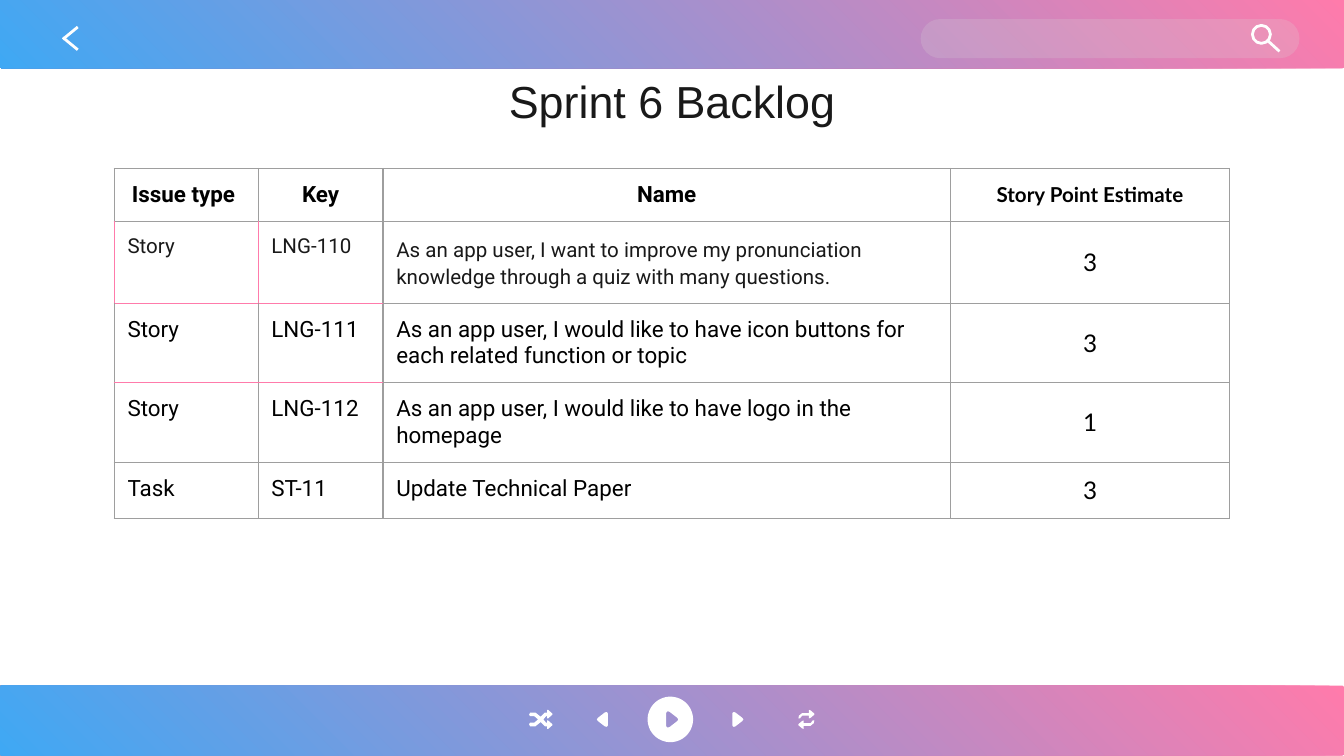
import math
import pptx
import pptx.dml.color
import pptx.enum.shapes
import pptx.enum.text
import pptx.oxml
import pptx.oxml.ns
import pptx.util

Cm = pptx.util.Cm
Pt = pptx.util.Pt
MSO = pptx.enum.shapes.MSO_SHAPE
ALIGN = pptx.enum.text.PP_ALIGN
ANCHOR = pptx.enum.text.MSO_ANCHOR
PINK, BLUE, WHITE, GRAY = "FF7BAB", "3FA8F4", "FFFFFF", "9E9E9E"
NS = pptx.oxml.ns.nsdecls("a")


def rgb(color):
    return pptx.dml.color.RGBColor.from_string(color)


def add_icon(*outlines):
    points = [[(Cm(x), Cm(y)) for x, y in outline] for outline in outlines]
    builder = shapes.build_freeform(*points[0][0])
    builder.add_line_segments(points[0][1:])
    for outline in points[1:]:
        builder.move_to(*outline[0])
        builder.add_line_segments(outline[1:])
    sp = builder.convert_to_shape()
    sp.shadow.inherit = False
    sp.fill.solid()
    sp.fill.fore_color.rgb = rgb(WHITE)
    sp.line.fill.background()


prs = pptx.Presentation()
prs.slide_width, prs.slide_height = Cm(25.4), Cm(14.28)
s = prs.slides.add_slide(prs.slide_layouts[5])
shapes = s.shapes

for top in (-0.03, 12.95):
    sp = shapes.add_shape(MSO.ROUNDED_RECTANGLE, 0, Cm(top), Cm(25.4), Cm(1.32))
    sp.adjustments[0] = 0.03
    sp.shadow.inherit = False
    sp.fill.gradient()
    sp.fill.gradient_angle = 225
    for stop, color in zip(sp.fill.gradient_stops, (PINK, BLUE)):
        stop.color.rgb = rgb(color)
    sp.line.fill.background()

sp = shapes.add_shape(MSO.ROUNDED_RECTANGLE, Cm(17.4), Cm(0.36), Cm(7.16), Cm(0.74))
sp.adjustments[0] = 0.5
sp.shadow.inherit = False
sp.fill.solid()
sp.fill.fore_color.rgb = rgb("D9D9D9")
clr = sp.element.spPr.find(pptx.oxml.ns.qn("a:solidFill"))[0]
clr.append(pptx.oxml.parse_xml(f'<a:alpha {NS} val="21000"/>'))
sp.line.fill.background()

sp = shapes.add_shape(MSO.OVAL, Cm(23.67), Cm(0.48), Cm(0.34), Cm(0.34))
sp.shadow.inherit = False
sp.fill.background()
sp.line.color.rgb = rgb("FEFEFE")
sp.line.width = Pt(1.5)

for x1, y1, x2, y2 in ((23.95, 0.76, 24.18, 0.97),
                       (1.19, 0.74, 1.47, 0.51),
                       (1.19, 0.71, 1.47, 0.94)):
    line = shapes.add_connector(pptx.enum.shapes.MSO_CONNECTOR.STRAIGHT,
                                Cm(x1), Cm(y1), Cm(x2), Cm(y2))
    line.line.color.rgb = rgb("FEFEFE")
    line.line.width = Pt(1.5)
    line.element.spPr.append(pptx.oxml.parse_xml(f"<a:effectLst {NS}/>"))

mid = 13.59
arrow = [(0.05, -0.18), (0.08, -0.17), (0.15, -0.11), (0.15, -0.09), (0.08, -0.03),
         (0.05, -0.02), (0.05, -0.07), (-0.08, -0.07), (-0.12, -0.02),
         (-0.15, -0.02), (-0.14, -0.07), (-0.08, -0.12), (0.05, -0.12)]
for sign in (-1, 1):
    add_icon([(15.24 + sign * x, mid + sign * y) for x, y in arrow + arrow[:1]])

half = [(10.17, 0), (10.1, -0.06), (10.02, -0.06), (10, -0.09), (10.02, -0.13),
        (10.12, -0.13), (10.22, -0.05), (10.3, -0.13), (10.34, -0.13),
        (10.34, -0.18), (10.36, -0.18), (10.44, -0.11), (10.44, -0.09),
        (10.36, -0.02), (10.34, -0.02), (10.34, -0.06), (10.32, -0.06), (10.27, 0)]
shuffle = half + [(x, -y) for x, y in reversed(half[:-1])]
add_icon([(x, mid + y) for x, y in shuffle])

half = [(0, -0.11), (0.01, -0.13), (0.03, -0.14), (0.06, -0.13), (0.19, -0.03), (0.21, 0)]
triangle = half + [(x, -y) for x, y in reversed(half[:-1])] + half[:1]
angles = [math.radians(a) for a in range(0, 361, 6)]
disc = [(12.67 + 0.43 * math.cos(a), mid + 0.43 * math.sin(a)) for a in angles]
add_icon(disc, [(12.59 + 1.1 * x, mid + 1.1 * y) for x, y in triangle])
for base, sign in ((11.49, -1), (13.84, 1)):
    add_icon([(base + sign * x, mid + y) for x, y in triangle])

title = shapes.title
title.element.getparent().append(title.element)
title.left, title.top, title.width, title.height = Cm(2), Cm(1.09), Cm(21.4), Cm(1.6)
tf = title.text_frame
tf.vertical_anchor = ANCHOR.MIDDLE
p = tf.paragraphs[0]
p.alignment = ALIGN.CENTER
r = p.add_run()
r.text = "Sprint 6 Backlog"
r.font.size, r.font.name, r.font.color.rgb = Pt(24), "Arial", rgb("191919")

rows = [
    ("Issue type ", "Key", "Name", "Story Point Estimate"),
    ("Story", "LNG-110", "As an app user, I want to improve my pronunciation "
     "knowledge through a quiz with many questions.", "3"),
    ("Story", "LNG-111", "As an app user, I would like to have icon buttons for "
     "each related function or topic", "3"),
    ("Story", "LNG-112", "As an app user, I would like to have logo in the homepage", "1"),
    ("Task", "ST-11", "Update Technical Paper", "3"),
]
widths = (2.72, 2.36, 10.72, 5.28)
heights = (1, 1.55, 1.5, 1.5, 1.06)
pink_sides = {1: "LRB", 2: "TB", 3: "T"}
table = shapes.add_table(5, 4, Cm(2.16), Cm(3.18), Cm(sum(widths)), Cm(sum(heights))).table
table.first_row = table.horz_banding = False
for column, width in zip(table.columns, widths):
    column.width = Cm(width)
for i, (row, height) in enumerate(zip(rows, heights)):
    table.rows[i].height = Cm(height)
    for j, text in enumerate(row):
        header, points = i == 0, j == 3
        cell = table.cell(i, j)
        cell.margin_left = cell.margin_right = cell.margin_top = cell.margin_bottom = Cm(0.25)
        cell.vertical_anchor = ANCHOR.MIDDLE if header or points else ANCHOR.TOP
        tcPr = cell._tc.get_or_add_tcPr()
        for side in "LRTB":
            color = PINK if j < 2 and side in pink_sides.get(i, "") else GRAY
            tcPr.append(pptx.oxml.parse_xml(
                f'<a:ln{side} {NS} w="9525"><a:solidFill><a:srgbClr val="{color}"/>'
                f'</a:solidFill></a:ln{side}>'))
        if header:
            cell.fill.solid()
            cell.fill.fore_color.rgb = rgb(WHITE)
        else:
            cell.fill.background()
        p = cell.text_frame.paragraphs[0]
        p.alignment = ALIGN.CENTER if header or points else ALIGN.LEFT
        if (i, j) == (1, 2):
            p.line_spacing = 1.15
        r = p.add_run()
        r.text = text
        r.font.name = "Lato" if points else "Roboto"
        r.font.bold = header
        if points:
            r.font.size = Pt(11 if header else 13)
        else:
            r.font.size = Pt(11 if i == 1 else 12)
        r.font.color.rgb = rgb("191919" if i == 1 and not points else "000000")

prs.save("out.pptx")
